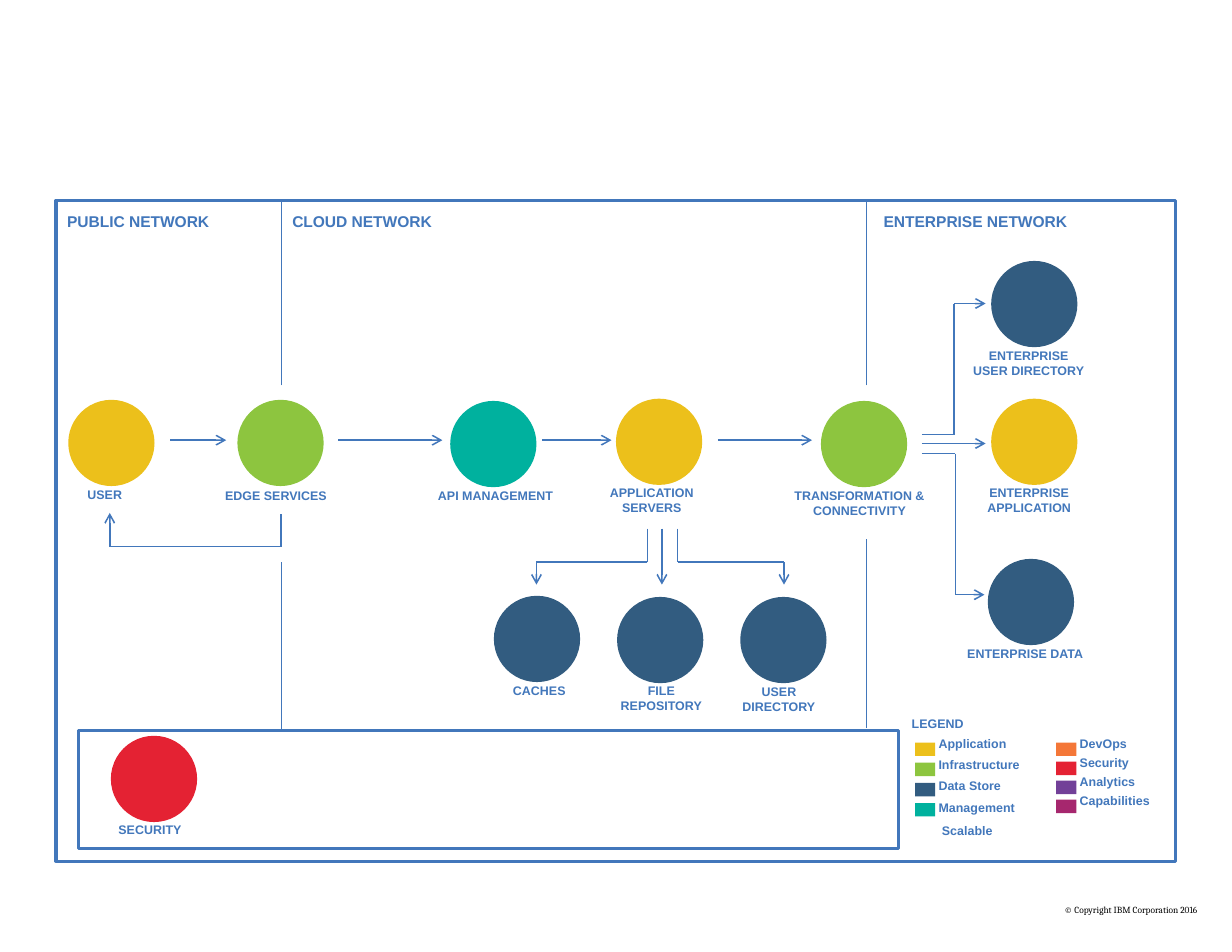
"""Build a web application architecture diagram across three networks."""
from itertools import pairwise

from lxml import etree
from pptx import Presentation
from pptx import util as u
from pptx.dml import color as c
from pptx.enum import shapes, text
from pptx.oxml import ns

COLORS = {
    "line": "4277BB", "black": "000000",
    "application": "ECC01B", "infrastructure": "8DC53F",
    "data": "325C80", "management": "00B19E",
    "devops": "F47738", "security": "E42233",
    "analytics": "724098", "capabilities": "A6276E",
}
LABEL = {"size": u.Pt(8), "name": "Arial", "bold": True}
HEADING = {**LABEL, "size": u.Pt(10)}
COPYRIGHT = {"size": u.Pt(6), "name": "Cambria", "bold": False}

deck = Presentation()
deck.slide_width, deck.slide_height = u.Inches(11), u.Inches(8.5)
page = deck.slides.add_slide(deck.slide_layouts[6])


def add_shape(kind, left, top, width, height, fill=None):
    shape = page.shapes.add_shape(kind, *map(u.Inches, (left, top, width, height)))
    shape.shadow.inherit = False
    if fill:
        shape.fill.solid()
        shape.fill.fore_color.rgb = c.RGBColor.from_string(COLORS[fill])
        shape.line.fill.background()
    else:
        shape.fill.background()
        shape.line.color.rgb = c.RGBColor.from_string(COLORS["line"])
        shape.line.width = u.Pt(2)


def add_text(lines, left, top, width, height, style=LABEL, align="LEFT", color="line"):
    box = page.shapes.add_textbox(*map(u.Inches, (left, top, width, height)))
    frame = box.text_frame
    frame.word_wrap = True
    for side in ("left", "top", "right", "bottom"):
        setattr(frame, f"margin_{side}", 0)
    frame.text = lines
    for para in frame.paragraphs:
        para.alignment = getattr(text.PP_ALIGN, align)
        for span in para.runs:
            for name, value in style.items():
                setattr(span.font, name, value)
            span.font.color.rgb = c.RGBColor.from_string(COLORS[color])
    return frame


add_shape(shapes.MSO_SHAPE.RECTANGLE, 0.5, 1.79, 10, 5.9)
add_shape(shapes.MSO_SHAPE.RECTANGLE, 0.7, 6.52, 7.32, 1.06)

networks = [("PUBLIC NETWORK", 0.6, 1.37), ("CLOUD NETWORK", 2.61, 1.35),
            ("ENTERPRISE NETWORK", 7.89, 1.74)]
for name, left, width in networks:
    add_text(name, left, 1.89, width, 0.25, HEADING)

nodes = [
    ("USER", "application", 0.61, 3.57, 0.73, 4.35, 0.41),
    ("EDGE SERVICES", "infrastructure", 2.12, 3.57, 1.96, 4.36, 1.01),
    ("API MANAGEMENT", "management", 4.02, 3.58, 3.78, 4.36, 1.29),
    ("APPLICATION\nSERVERS", "application", 5.5, 3.56, 5.38, 4.33, 0.88),
    ("TRANSFORMATION &\nCONNECTIVITY", "infrastructure", 7.33, 3.58, 7.03, 4.36, 1.29),
    ("ENTERPRISE\nUSER DIRECTORY", "data", 8.85, 2.33, 8.64, 3.11, 1.09),
    ("ENTERPRISE\nAPPLICATION", "application", 8.85, 3.56, 8.77, 4.33, 0.84),
    ("ENTERPRISE DATA", "data", 8.82, 4.99, 8.59, 5.77, 1.13),
    ("CACHES", "data", 4.41, 5.32, 4.17, 6.1, 1.29),
    ("FILE\nREPOSITORY", "data", 5.51, 5.33, 5.26, 6.1, 1.29),
    ("USER\nDIRECTORY", "data", 6.61, 5.33, 6.58, 6.11, 0.75),
    ("SECURITY", "security", 0.99, 6.57, 1.01, 7.34, 0.66),
]
for name, color, left, top, label_left, label_top, width in nodes:
    add_shape(shapes.MSO_SHAPE.OVAL, left, top, 0.77, 0.77, color)
    height = 0.36 if "\n" in name else 0.22
    add_text(name, label_left, label_top, width, height, align="CENTER")

flows = [[(start, 3.93), (end, 3.93)]
         for start, end in ((1.52, 2.02), (3.02, 3.95), (4.84, 5.46), (6.41, 7.25))]
flows += [
    [(2.51, 4.59), (2.51, 4.88), (0.98, 4.88), (0.98, 4.58)],
    [(5.78, 4.72), (5.78, 5.02), (4.79, 5.02), (4.79, 5.22)],
    [(5.91, 4.72), (5.91, 5.22)],
    [(6.05, 4.72), (6.05, 5.02), (7, 5.02), (7, 5.22)],
    [(8.23, 3.88), (8.52, 3.88), (8.52, 2.71), (8.8, 2.71)],
    [(8.23, 3.96), (8.8, 3.96)],
    [(8.23, 4.05), (8.53, 4.05), (8.53, 5.31), (8.79, 5.31)],
]
borders = [[(2.51, 3.44), (2.51, 1.79)], [(2.51, 6.51), (2.51, 5.02)],
           [(7.73, 3.44), (7.73, 1.79)], [(7.73, 6.5), (7.73, 4.81)]]
for points, weight, arrow in ([(flow, 1, True) for flow in flows]
                              + [(border, 0.25, False) for border in borders]):
    for start, end in pairwise(points):
        line = page.shapes.add_connector(
            shapes.MSO_CONNECTOR.STRAIGHT, *map(u.Inches, (*start, *end)))
        line.line.color.rgb = c.RGBColor.from_string(COLORS["line"])
        line.line.width = u.Pt(weight)
        properties = line._element.spPr
        etree.SubElement(properties, ns.qn("a:effectLst"))
        if arrow and end == points[-1]:
            etree.SubElement(properties.find(ns.qn("a:ln")), ns.qn("a:tailEnd"), type="arrow")

add_text("LEGEND", 8.14, 6.39, 0.56, 0.22)
legend = [
    (8.17, 0.18, 0.19, [("Application", "application"), ("Infrastructure", "infrastructure"),
                        ("Data Store", "data"), ("Management", "management")]),
    (9.43, 0.17, 0.17, [("DevOps", "devops"), ("Security", "security"),
                        ("Analytics", "analytics"), ("Capabilities", "capabilities")]),
]
for left, swatch_step, label_step, entries in legend:
    for row, (name, color) in enumerate(entries):
        add_shape(shapes.MSO_SHAPE.RECTANGLE, left, 6.63 + row * swatch_step, 0.18, 0.12, color)
        add_text(name, left + 0.21, 6.57 + row * label_step, 0.82, 0.22)
add_text("Scalable", 8.41, 7.35, 0.55, 0.22)

notice = add_text("© Copyright IBM Corporation 2016", 8.89, 8.04, 1.8, 0.17,
                  COPYRIGHT, "RIGHT", "black")
notice.vertical_anchor = text.MSO_ANCHOR.MIDDLE

deck.save("out.pptx")
